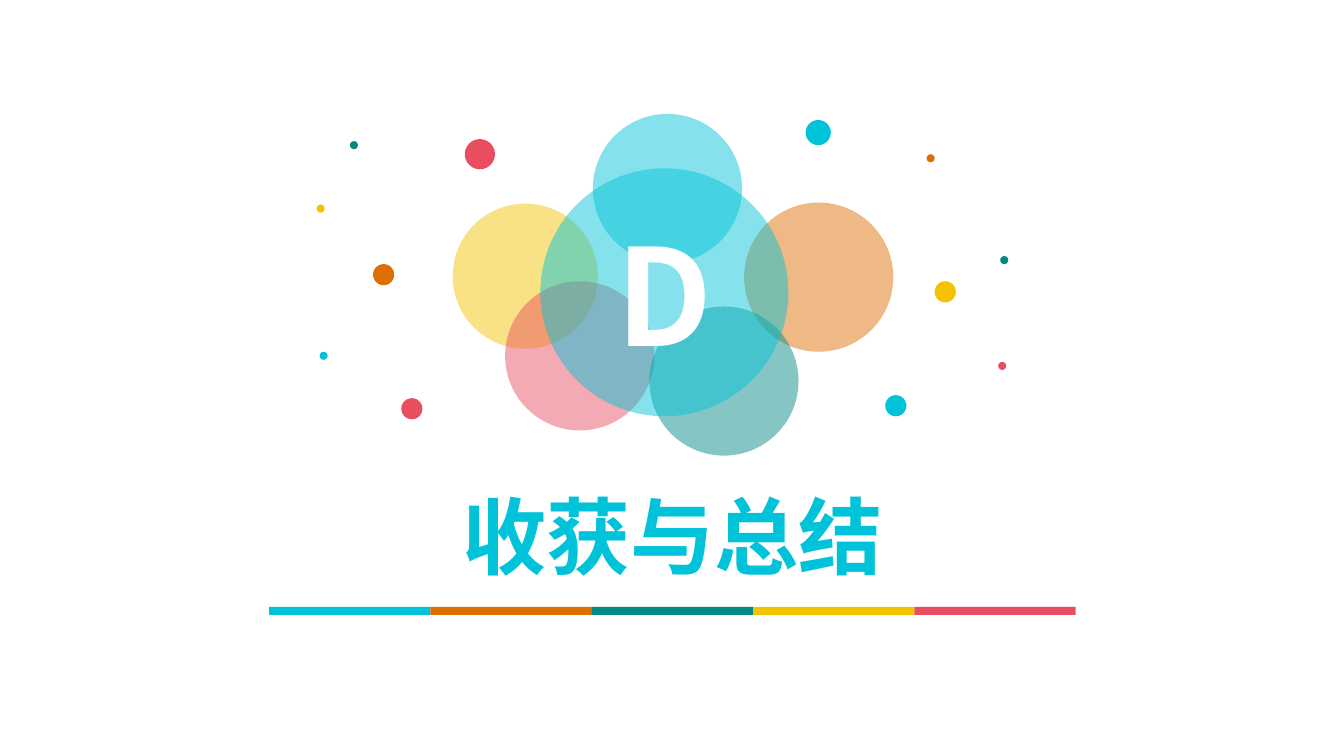
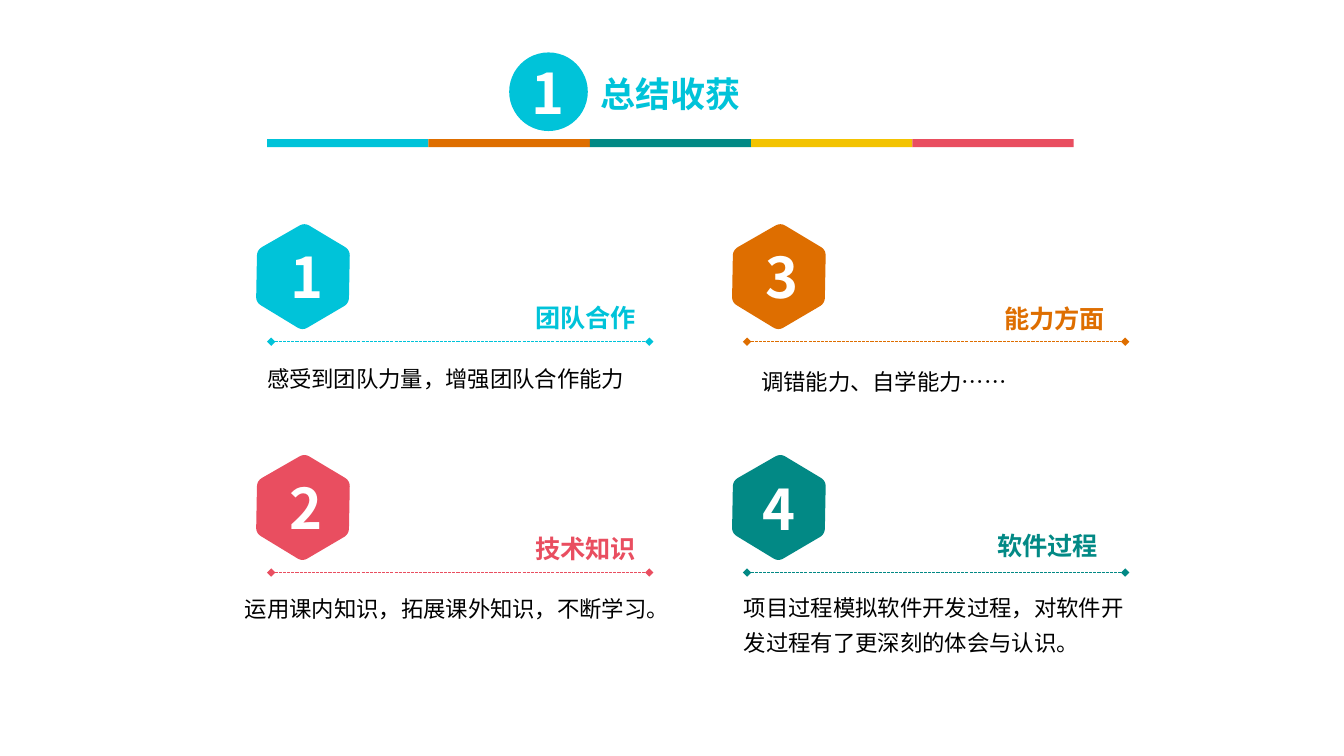
from dataclasses import dataclass

from lxml.etree import SubElement
from pptx import Presentation
from pptx.dml.color import RGBColor
from pptx.enum.dml import MSO_LINE
from pptx.enum.shapes import MSO_CONNECTOR, MSO_SHAPE
from pptx.enum.text import MSO_ANCHOR as Anchor, MSO_AUTO_SIZE as AutoSize, PP_ALIGN as Align
from pptx.oxml.ns import qn
from pptx.util import Inches, Pt

FONT = "Noto Sans CJK SC"
CYAN, ORANGE, TEAL = "00C3D9", "DE6E00", "028985"
YELLOW, RED = "F3C301", "E94E60"
WHITE, BLACK = "FFFFFF", "000000"
BAND_COLORS = [CYAN, ORANGE, TEAL, YELLOW, RED]
SEGMENT_WIDTH, BAND_HEIGHT = 1.6, 0.08
COLUMN_STEP, ROW_STEP = 4.72, 2.29
HEXAGON = [(0.46, 1.05), (0, 0.77), (0.01, 0.25), (0.48, -0.02), (0.93, 0.25), (0.92, 0.78)]
CORNER_CUT, CURVE_STEPS = 0.11, 8

Point = tuple[float, float]


@dataclass
class Circle:
    left: float
    top: float
    size: float
    color: str
    opacity: int = 100


@dataclass
class Style:
    size: int
    color: str
    bold: bool = True
    align: Align = Align.LEFT
    anchor: Anchor = Anchor.TOP
    wrap: bool = True
    spacing: float = 1.0
    grow: bool = True


@dataclass
class Card:
    color: str
    number: str
    number_at: Point
    heading: str
    heading_at: Point
    body: str
    body_box: tuple[float, float, float, float]


BUBBLES = [
    Circle(4.49, 2.02, 1.44, YELLOW, 48),
    Circle(5.01, 2.79, 1.48, RED, 48),
    Circle(5.88, 1.13, 1.48, CYAN, 48),
    Circle(7.38, 2.01, 1.48, ORANGE, 48),
    Circle(6.44, 3.04, 1.48, TEAL, 48),
]
DOTS = [
    Circle(3.14, 2.03, 0.08, YELLOW),
    Circle(7.99, 1.19, 0.25, CYAN),
    Circle(4.61, 1.38, 0.3, RED),
    Circle(3.7, 2.62, 0.21, ORANGE),
    Circle(3.47, 1.4, 0.08, TEAL),
    Circle(3.98, 3.95, 0.21, RED),
    Circle(3.17, 3.49, 0.08, CYAN),
    Circle(9.27, 2.79, 0.21, YELLOW),
    Circle(9.19, 1.53, 0.08, ORANGE),
    Circle(9.92, 2.54, 0.08, TEAL),
    Circle(8.78, 3.92, 0.21, CYAN),
    Circle(9.9, 3.59, 0.08, RED),
]
CARDS = [
    Card(CYAN, "1", (2.78, 2.36), "团队合作", (5.21, 2.95),
         "感受到团队力量，增强团队合作能力", (2.55, 3.49, 4.08, 0.42)),
    Card(RED, "2", (2.77, 4.65), "技术知识", (5.21, 5.24),
         "运用课内知识，拓展课外知识，不断学习。", (2.33, 5.77, 4.3, 0.42)),
    Card(ORANGE, "3", (7.49, 2.36), "能力方面", (9.86, 2.96),
         "调错能力、自学能力……", (7.45, 3.52, 4.08, 0.42)),
    Card(TEAL, "4", (7.46, 4.66), "软件过程", (9.79, 5.21),
         "项目过程模拟软件开发过程，对软件开发过程有了更深刻的体会与认识。", (7.28, 5.77, 4.08, 0.77)),
]


def rgb(color: str) -> RGBColor:
    return RGBColor.from_string(color)


def paint(shape, color: str, opacity: int = 100) -> None:
    shape.shadow.inherit = False
    shape.fill.solid()
    shape.fill.fore_color.rgb = rgb(color)
    shape.line.fill.background()
    if opacity < 100:
        fill = shape._element.spPr.find(".//" + qn("a:srgbClr"))
        SubElement(fill, qn("a:alpha"), val=str(opacity * 1000))


def write(shape, text: str, style: Style) -> None:
    frame = shape.text_frame
    frame.text = text
    frame.word_wrap = style.wrap
    frame.vertical_anchor = style.anchor
    frame.auto_size = AutoSize.SHAPE_TO_FIT_TEXT if style.grow else AutoSize.NONE
    para = frame.paragraphs[0]
    para.alignment = style.align
    para.line_spacing = style.spacing
    for span in para.runs:
        span.font.name = FONT
        span.font.size = Pt(style.size)
        span.font.bold = style.bold
        span.font.color.rgb = rgb(style.color)
        SubElement(span._r.get_or_add_rPr(), qn("a:ea"), typeface=FONT)


def add_circle(page, circle: Circle):
    size = Inches(circle.size)
    shape = page.shapes.add_shape(
        MSO_SHAPE.OVAL, Inches(circle.left), Inches(circle.top), size, size)
    paint(shape, circle.color, circle.opacity)
    return shape


def add_text(page, box: tuple[float, float, float, float], text: str, style: Style) -> None:
    write(page.shapes.add_textbox(*map(Inches, box)), text, style)


def set_title(page, box: tuple[float, float, float, float], text: str, style: Style) -> None:
    title = page.shapes.title
    title.left, title.top, title.width, title.height = map(Inches, box)
    write(title, text, style)


def add_band(page, left: float, top: float) -> None:
    band = page.shapes.add_group_shape()
    for index, color in enumerate(BAND_COLORS):
        segment = band.shapes.add_shape(
            MSO_SHAPE.RECTANGLE, Inches(left + index * SEGMENT_WIDTH), Inches(top),
            Inches(SEGMENT_WIDTH), Inches(BAND_HEIGHT))
        paint(segment, color)


def between(start: Point, end: Point, share: float) -> Point:
    return (start[0] + (end[0] - start[0]) * share, start[1] + (end[1] - start[1]) * share)


def rounded_outline(corners: list[Point]) -> list[Point]:
    outline = []
    for index, corner in enumerate(corners):
        start = between(corner, corners[index - 1], CORNER_CUT)
        end = between(corner, corners[(index + 1) % len(corners)], CORNER_CUT)
        for step in range(CURVE_STEPS + 1):
            share = step / CURVE_STEPS
            outline.append(between(
                between(start, corner, share), between(corner, end, share), share))
    return outline


def add_hexagon(page, left: float, top: float, color: str) -> None:
    points = [(Inches(left + x), Inches(top + y)) for x, y in rounded_outline(HEXAGON)]
    builder = page.shapes.build_freeform(*points[0])
    builder.add_line_segments(points[1:], close=True)
    paint(builder.convert_to_shape(), color)


def add_rule(page, left: float, top: float, width: float, color: str) -> None:
    rule = page.shapes.add_connector(
        MSO_CONNECTOR.STRAIGHT, Inches(left), Inches(top), Inches(left + width), Inches(top))
    rule.line.color.rgb = rgb(color)
    rule.line.width = Pt(0.75)
    rule.line.dash_style = MSO_LINE.SQUARE_DOT
    properties = rule._element.spPr
    outline = properties.find(qn("a:ln"))
    for end in ("a:headEnd", "a:tailEnd"):
        SubElement(outline, qn(end), type="diamond")
    SubElement(properties, qn("a:effectLst"))


def add_card(page, index: int, card: Card) -> None:
    column, row = divmod(index, 2)
    left, top = 2.54 + column * COLUMN_STEP, 2.23 + row * ROW_STEP
    add_hexagon(page, left, top, card.color)
    add_rule(page, left + 0.15, top + 1.16, 3.75, card.color)
    add_text(page, (*card.heading_at, 1.21, 0.4), card.heading,
             Style(18, card.color, anchor=Anchor.MIDDLE, wrap=False))
    add_text(page, card.body_box, card.body, Style(16, BLACK, bold=False, spacing=1.3))
    add_text(page, (*card.number_at, 0.41, 0.77), card.number, Style(40, WHITE))


def centred(size: int, color: str) -> Style:
    return Style(size, color, align=Align.CENTER, anchor=Anchor.MIDDLE, grow=False)


def build_section(page) -> None:
    for circle in BUBBLES + DOTS:
        add_circle(page, circle)
    letter = add_circle(page, Circle(5.36, 1.67, 2.46, CYAN, 48))
    write(letter, "D", centred(96, WHITE))
    add_band(page, 2.67, 6.02)
    set_title(page, (1.75, 4.94, 9.84, 0.74), "收获与总结", centred(60, CYAN))


def build_summary(page) -> None:
    badge = add_circle(page, Circle(5.05, 0.52, 0.78, CYAN))
    write(badge, "1", centred(40, WHITE))
    set_title(page, (5.86, 0.62, 2.88, 0.61), "总结收获", Style(25, CYAN, anchor=Anchor.MIDDLE, grow=False))
    add_band(page, 2.65, 1.38)
    for index, card in enumerate(CARDS):
        add_card(page, index, card)


def main() -> None:
    deck = Presentation()
    deck.slide_width, deck.slide_height = Inches(13.33), Inches(7.5)
    for build in (build_section, build_summary):
        build(deck.slides.add_slide(deck.slide_layouts[5]))
    deck.save("out.pptx")


if __name__ == "__main__":
    main()
